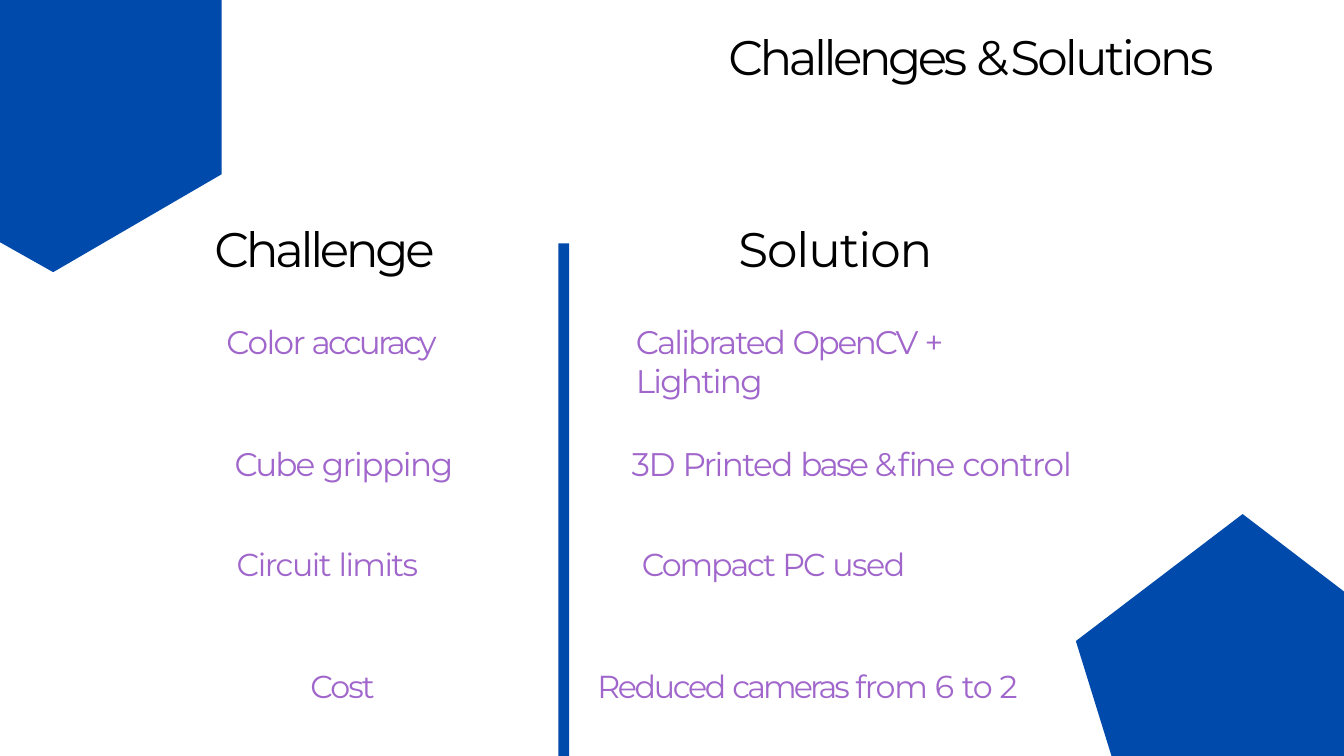
from dataclasses import dataclass

from pptx import Presentation
from pptx.dml.color import RGBColor
from pptx.enum.shapes import MSO_SHAPE
from pptx.enum.text import MSO_ANCHOR, MSO_AUTO_SIZE, PP_ALIGN
from pptx.util import Inches, Pt

RECTANGLE = MSO_SHAPE.RECTANGLE
TOP = MSO_ANCHOR.TOP
GROW = MSO_AUTO_SIZE.SHAPE_TO_FIT_TEXT
LEFT, CENTER = PP_ALIGN.LEFT, PP_ALIGN.CENTER
TITLE_ONLY = 5


@dataclass(frozen=True)
class Theme:
    font: str = "Montserrat"
    blue: RGBColor = RGBColor(0x00, 0x4A, 0xAC)
    black: RGBColor = RGBColor(0x00, 0x00, 0x00)
    purple: RGBColor = RGBColor(0xA0, 0x66, 0xCB)
    heading: int = 52
    large: int = 35
    body: int = 34


THEME = Theme()


@dataclass(frozen=True)
class Box:
    """An area in inches, divided by percentages of its own size."""
    left: float
    top: float
    width: float
    height: float

    def point(self, across, down):
        return (Inches(self.left + self.width * across / 100),
                Inches(self.top + self.height * down / 100))

    def area(self, across, down, wide, high):
        return Box(self.left + self.width * across / 100,
                   self.top + self.height * down / 100,
                   self.width * wide / 100, self.height * high / 100)


def place(shape, box):
    shape.left, shape.top = box.point(0, 0)
    shape.width, shape.height = Inches(box.width), Inches(box.height)


def prepare_frame(shape, right_inset=0):
    frame = shape.text_frame
    frame.word_wrap = True
    frame.auto_size = GROW
    frame.vertical_anchor = TOP
    frame.margin_left = frame.margin_bottom = 0
    frame.margin_top = Inches(0.02)
    frame.margin_right = Inches(right_inset)
    return frame


def write(para, spans, size, color, align=LEFT, indent=0.01, before=0):
    """Fill a paragraph with (text, letter spacing in points) spans."""
    properties = para._p.get_or_add_pPr()
    properties.set("marL", str(Inches(indent)))
    properties.set("indent", "0")
    para.alignment = align
    para.space_before = Pt(before)
    for text, spacing in spans:
        span = para.add_run()
        span.text = text
        span.font.name = THEME.font
        span.font.size = Pt(size)
        span.font.color.rgb = color
        span._r.get_or_add_rPr().set("spc", str(round(spacing * 100)))


def add_text_box(slide, box, right_inset=0):
    shape = slide.shapes.add_textbox(0, 0, 0, 0)
    place(shape, box)
    return prepare_frame(shape, right_inset)


def paint(shape):
    shape.shadow.inherit = False
    shape.fill.solid()
    shape.fill.fore_color.rgb = THEME.blue
    shape.line.fill.background()


def add_polygon(slide, box, corners):
    points = [box.point(*corner) for corner in corners]
    builder = slide.shapes.build_freeform(*points[0])
    builder.add_line_segments(points[1:], close=True)
    paint(builder.convert_to_shape())


def add_title(slide, box):
    title = slide.shapes.title
    place(title, box)
    spans = [("Challenges ", -3.8), ("& ", -12.1), ("Solutions", -3)]
    write(prepare_frame(title).paragraphs[0], spans, THEME.heading, THEME.black)


def add_divider(slide, box):
    divider = slide.shapes.add_shape(RECTANGLE, 0, 0, 0, 0)
    place(divider, box)
    paint(divider)


# Top, height (percent of the column) and type size of the rows below the first
ROWS = [(41.7, 7.6, THEME.large), (60.55, 7.4, THEME.body), (83.15, 7.4, THEME.body)]


def add_column(slide, box, heading, first, entries, head_left=0, head_width=100,
               align=LEFT, indent=0.01, right_inset=0):
    """Place a heading with its first entry, then one box for each later entry."""
    frame = add_text_box(slide, box.area(head_left, 0, head_width, 26.7), right_inset)
    write(frame.paragraphs[0], [heading], THEME.heading, THEME.black, align=align)
    write(frame.add_paragraph(), first, THEME.large, THEME.purple,
          indent=indent, before=47.9)
    for (top, height, size), (left, width, spans) in zip(ROWS, entries):
        frame = add_text_box(slide, box.area(left, top, width, height))
        write(frame.paragraphs[0], spans, size, THEME.purple)


def main():
    page = Box(0, 0, 20, 11.25)
    deck = Presentation()
    deck.slide_width, deck.slide_height = Inches(page.width), Inches(page.height)
    slide = deck.slides.add_slide(deck.slide_layouts[TITLE_ONLY])

    # Corner shapes
    add_polygon(slide, page.area(0, 0, 16.5, 36),
                [(24, 100), (0, 89), (0, 0), (100, 0), (100, 64)])
    add_polygon(slide, page.area(80.05, 68, 19.95, 32),
                [(100, 100), (13.3, 100), (0, 52.5), (62.2, 0), (100, 32)])

    # Title and divider
    add_title(slide, page.area(54.15, 3.4, 41.7, 7.9))
    add_divider(slide, page.area(41.55, 32.2, 0.8, 67.8))

    # Challenges
    add_column(slide, page.area(15.9, 28.8, 18.85, 71.2), ("Challenge", -3.6),
               [("Color", -1.7), (" accuracy", -3)],
               [(8, 88.9, [("Cube ", -2.2), ("gripping", -1.6)]),
                (8.75, 87, [("Circuit ", -1.6), ("limits", -1.7)]),
                (37.9, 28.9, [("Cost", -2.1)])],
               indent=0.19)

    # Solutions
    add_column(slide, page.area(44.4, 28.8, 38.1, 71.2), ("Solution", -1.2),
               [("Calibrated ", -2.1), ("OpenCV ", -2.5), ("+ ", -4.9),
                ("Lighting", -1.9)],
               [(6.7, 93.3, [("3D ", -1.7), ("Printed ", -1.8), ("base ", -3),
                             ("& ", -7.8), ("fine ", -1.6), ("control", -1.2)]),
                (8.7, 54.9, [("Compact ", -2.2), ("PC ", -2.1), ("used", -1.6)]),
                (0, 88.3, [("Reduced ", -2.5), ("cameras ", -3.1), ("from ", -1.4),
                           ("6 ", -0.8), ("to ", -1.4), ("2", -4.3)])],
               head_left=7.5, head_width=91.9, align=CENTER, right_inset=1.05)

    deck.save("out.pptx")


if __name__ == "__main__":
    main()
